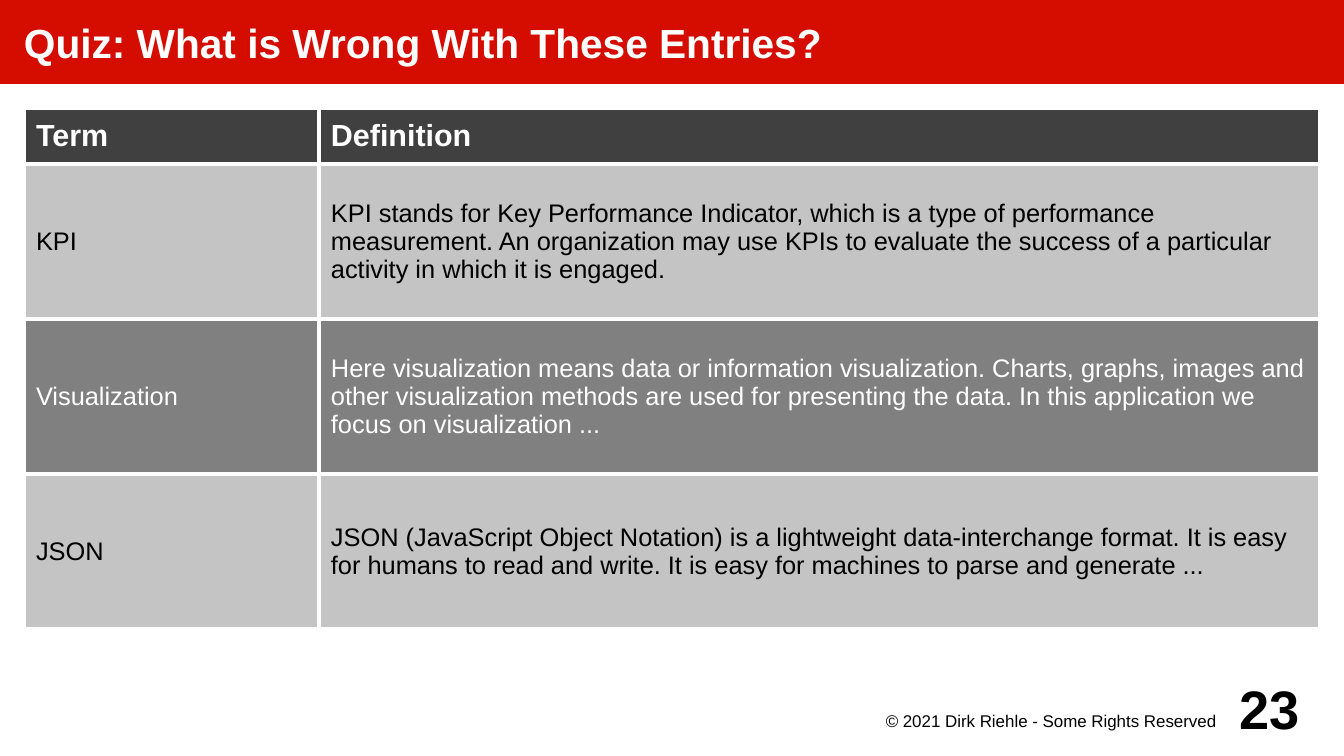
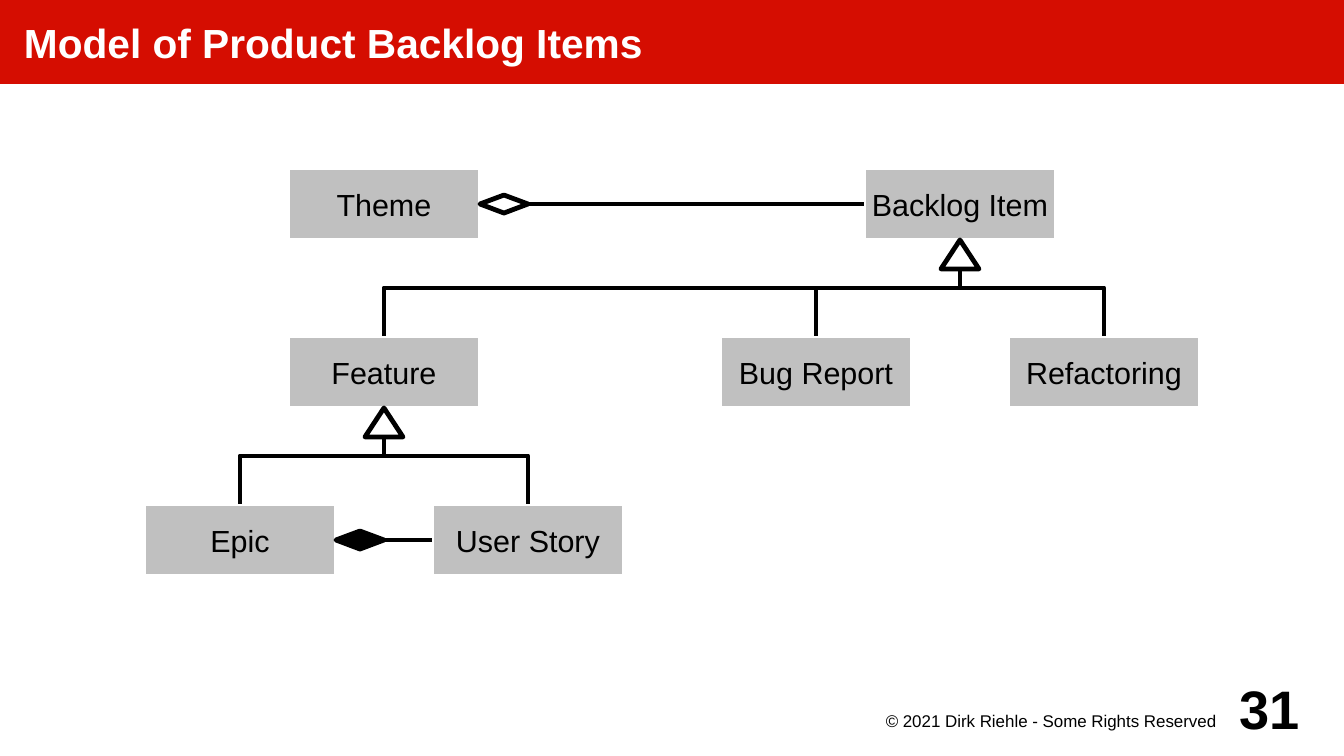
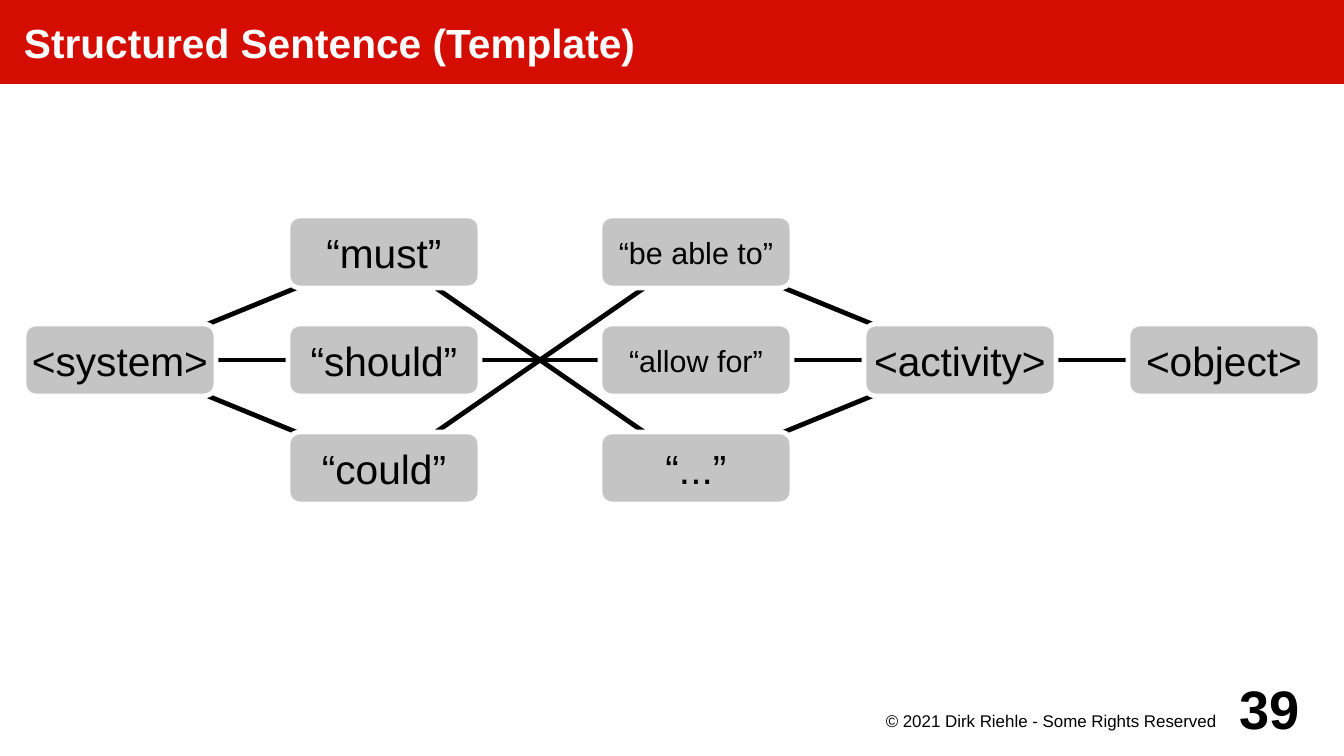
from pptx import Presentation
from pptx.dml.color import RGBColor
from pptx.enum.shapes import MSO_CONNECTOR as Link, MSO_SHAPE as Preset
from pptx.enum.text import MSO_ANCHOR as Anchor, PP_ALIGN as Align
from pptx.oxml import parse_xml
from pptx.oxml.ns import nsdecls, qn
from pptx.util import Emu, Pt

PX = 7500  # EMU per px
WIDTH, HEIGHT = 1344, 756
BOX_W, BOX_H = 192, 72

RED = RGBColor(0xD5, 0x0D, 0x01)
WHITE = RGBColor(0xFF, 0xFF, 0xFF)
BLACK = RGBColor(0x00, 0x00, 0x00)
CHARCOAL = RGBColor(0x40, 0x40, 0x40)
GRAY = RGBColor(0x80, 0x80, 0x80)
SILVER = RGBColor(0xC0, 0xC0, 0xC0)
LIGHT = RGBColor(0xC4, 0xC4, 0xC4)


def px(*lengths):
    return [Emu(round(length * PX)) for length in lengths]


class Deck:
    font = "Arial"
    stroke = Pt(2.83)
    border = Pt(2.27)
    copyright = "© 2021 Dirk Riehle - Some Rights Reserved"

    def __init__(self):
        self.presentation = Presentation()
        self.presentation.slide_width, self.presentation.slide_height = px(WIDTH, HEIGHT)
        self.page = None

    # Slide frame: title band, footer, page number
    def add_page(self, title, number):
        self.page = self.presentation.slides.add_slide(self.presentation.slide_layouts[6])
        band = self.shape(Preset.RECTANGLE, 0, 0, WIDTH, 84, RED)
        self.set_text(band.text_frame, title, 24, WHITE, True, Align.LEFT, (24, 0, 0, 0))
        self.label(864, 708, 384, 36, self.copyright, 10, False, Anchor.TOP, (0, 3, 32, 0))
        self.label(1224, 672, 96, 72, number, 32, True, Anchor.MIDDLE, (0, 0, 20, 0))

    # Text
    def set_text(self, frame, text, size, color, bold, align, insets,
                 anchor=Anchor.MIDDLE, wrap=True):
        frame.word_wrap = wrap
        frame.vertical_anchor = anchor
        (frame.margin_left, frame.margin_top,
         frame.margin_right, frame.margin_bottom) = px(*insets)
        para = frame.paragraphs[0]
        para.alignment = align
        self.span(para, text, size, color, bold)

    def span(self, para, text, size, color, bold):
        span = para.add_run()
        span.text = text
        span.font.name, span.font.size, span.font.bold = self.font, Pt(size), bold
        span.font.color.rgb = color

    def label(self, left, top, width, height, text, size, bold, anchor, insets):
        box = self.page.shapes.add_textbox(*px(left, top, width, height))
        self.set_text(box.text_frame, text, size, BLACK, bold, Align.RIGHT, insets, anchor)

    # Shapes
    def draw_line(self, line, color):
        line.color.rgb = color
        line.width = self.stroke
        line._get_or_add_ln().append(parse_xml(f"<a:round {nsdecls('a')}/>"))

    def shape(self, preset, left, top, width, height, fill, line=None):
        shape = self.page.shapes.add_shape(preset, *px(left, top, width, height))
        shape.shadow.inherit = False
        shape.fill.solid()
        shape.fill.fore_color.rgb = fill
        if line is None:
            shape.line.fill.background()
        else:
            self.draw_line(shape.line, line)
        return shape

    def node(self, preset, left, top, text, size, fill):
        box = self.shape(preset, left, top, BOX_W, BOX_H, fill, WHITE)
        self.set_text(box.text_frame, text, size, BLACK, False, Align.CENTER,
                      (10, 10, 10, 10), wrap=False)

    def diamond(self, left, middle, fill):
        self.shape(Preset.DIAMOND, left, middle - 9, 48, 18, fill, BLACK)

    def triangle(self, center, top):
        self.shape(Preset.ISOSCELES_TRIANGLE, center - 19, top, 38, 29, WHITE, BLACK)

    # Connectors
    def connect(self, start, end, kind=Link.STRAIGHT):
        link = self.page.shapes.add_connector(kind, *px(*start, *end))
        self.draw_line(link.line, BLACK)
        link._element.spPr.append(parse_xml(f"<a:effectLst {nsdecls('a')}/>"))
        return link

    def branch(self, parent, child):
        """Elbow that leaves the parent downwards: a sideways elbow, turned."""
        (x1, y1), (x2, y2) = parent, child
        middle_x, middle_y = (x1 + x2) / 2, (y1 + y2) / 2
        side = 1 if x2 < x1 else -1
        reach, rise = side * (y2 - y1) / 2, abs(x2 - x1) / 2
        link = self.connect((middle_x - reach, middle_y - rise),
                            (middle_x + reach, middle_y + rise), Link.ELBOW)
        turn = 90 if side == 1 else 270
        link._element.spPr.find(qn("a:xfrm")).set("rot", str(turn * 60000))

    # Table
    def table(self, left, top, columns, heights, rows, styles):
        frame = self.page.shapes.add_table(
            len(rows), len(columns), *px(left, top, sum(columns), sum(heights)))
        table = frame.table
        table.horz_banding = False
        for column, width in zip(table.columns, px(*columns)):
            column.width = width
        for row, height, texts, style in zip(table.rows, px(*heights), rows, styles):
            row.height = height
            for cell, text in zip(row.cells, texts):
                self.cell(cell, text, *style)

    def cell(self, cell, text, fill, color, size, bold):
        cell.fill.solid()
        cell.fill.fore_color.rgb = fill
        cell.vertical_anchor = Anchor.MIDDLE
        (cell.margin_left, cell.margin_top,
         cell.margin_right, cell.margin_bottom) = px(12, 6, 12, 6)
        self.span(cell.text_frame.paragraphs[0], text, size, color, bold)
        for index, edge in enumerate("LRTB"):
            cell._tc.get_or_add_tcPr().insert(index, parse_xml(
                f'<a:ln{edge} {nsdecls("a")} w="{self.border}"><a:solidFill>'
                f'<a:srgbClr val="{WHITE}"/></a:solidFill></a:ln{edge}>'))


def add_quiz(deck):
    deck.add_page("Quiz: What is Wrong With These Entries?", "23")
    rows = [
        ("Term", "Definition"),
        ("KPI", "KPI stands for Key Performance Indicator, which is a type of "
                "performance measurement. An organization may use KPIs to evaluate "
                "the success of a particular activity in which it is engaged."),
        ("Visualization", "Here visualization means data or information visualization. "
                          "Charts, graphs, images and other visualization methods are "
                          "used for presenting the data. In this application we focus "
                          "on visualization ..."),
        ("JSON", "JSON (JavaScript Object Notation) is a lightweight data-interchange "
                 "format. It is easy for humans to read and write. It is easy for "
                 "machines to parse and generate ..."),
    ]
    header = (CHARCOAL, WHITE, 18, True)
    odd, even = (LIGHT, BLACK, 15, False), (GRAY, WHITE, 15, False)
    deck.table(24, 108, [295, 1001], [56, 155, 155, 155], rows, [header, odd, even, odd])


def add_backlog_model(deck):
    deck.add_page("Model of Product Backlog Items", "31")
    places = {
        "Backlog Item": (864, 168), "Theme": (288, 168),
        "Feature": (288, 336), "Bug Report": (720, 336), "Refactoring": (1008, 336),
        "Epic": (144, 504), "User Story": (432, 504),
    }
    for name, (left, top) in places.items():
        deck.node(Preset.RECTANGLE, left, top, name, 18, SILVER)

    # Inheritance
    families = {"Backlog Item": ("Feature", "Bug Report", "Refactoring"),
                "Feature": ("Epic", "User Story")}
    for parent, children in families.items():
        left, top = places[parent]
        center, bottom = left + BOX_W // 2, top + BOX_H
        for child in children:
            child_left, child_top = places[child]
            deck.branch((center, bottom), (child_left + BOX_W // 2, child_top))
        deck.triangle(center, bottom)

    # Aggregation and composition
    for whole, part, fill in (("Theme", "Backlog Item", WHITE),
                              ("Epic", "User Story", BLACK)):
        left, top = places[whole]
        right, middle = left + BOX_W, top + BOX_H // 2
        deck.diamond(right, middle, fill)
        deck.connect((right + 48, middle), (places[part][0], middle))


def add_sentence_template(deck):
    deck.add_page("Structured Sentence (Template)", "39")
    upper, center, lower = 216, 324, 432
    columns = [
        (24, [("<system>", center, 24)]),
        (288, [("“must”", upper, 24), ("“should”", center, 24), ("“could”", lower, 24)]),
        (600, [("“be able to”", upper, 18), ("“allow for”", center, 18),
               ("“...”", lower, 24)]),
        (864, [("<activity>", center, 24)]),
        (1128, [("<object>", center, 24)]),
    ]
    middles = {text: (left + BOX_W // 2, top + BOX_H // 2)
               for left, words in columns for text, top, size in words}

    # Lines run between box centers, behind the boxes
    for start, end in (("<system>", "<object>"),
                       ("<system>", "“must”"), ("<system>", "“could”"),
                       ("“must”", "“...”"), ("“could”", "“be able to”"),
                       ("“be able to”", "<activity>"), ("“...”", "<activity>")):
        deck.connect(middles[start], middles[end])
    for left, words in columns:
        for text, top, size in words:
            deck.node(Preset.ROUNDED_RECTANGLE, left, top, text, size, LIGHT)


def main():
    deck = Deck()
    add_quiz(deck)
    add_backlog_model(deck)
    add_sentence_template(deck)
    deck.presentation.save("out.pptx")


if __name__ == "__main__":
    main()
